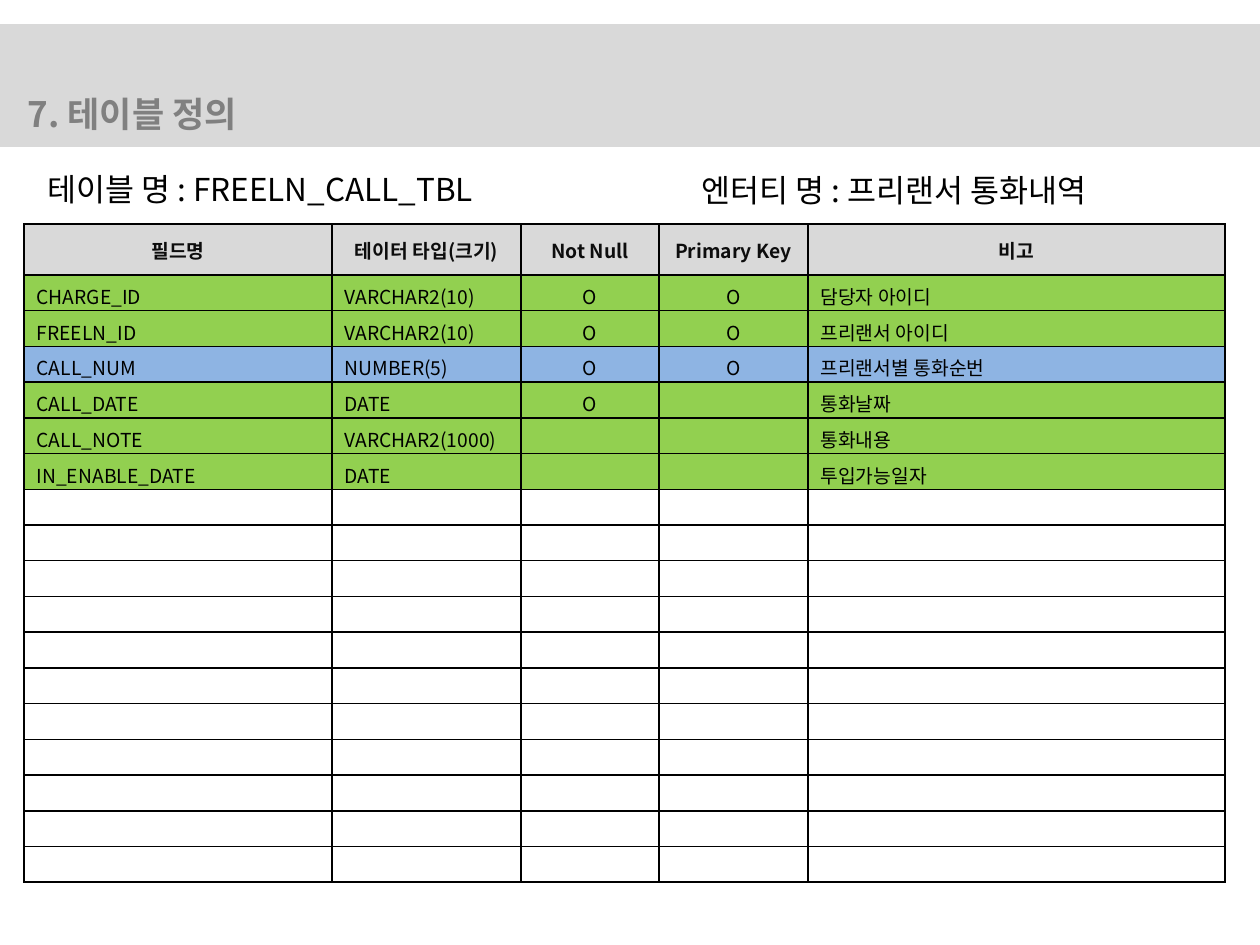
from pptx import Presentation
from pptx import util as u
from pptx.dml.color import RGBColor
from pptx.enum import shapes, text
from pptx.oxml.ns import qn
from lxml import etree

FONT = "Noto Sans CJK KR"
BLACK, GRAY, GREEN, BLUE, WHITE = "000000", "D9D9D9", "92D050", "8EB4E3", "FFFFFF"
TITLE = "7. 테이블 정의"
LABELS = [
    ("테이블 명 : FREELN_CALL_TBL ", (35, 164, 476, 50)),
    ("엔터티 명 : 프리랜서 통화내역", (689, 165, 536, 50)),
]
HEADER = ("필드명", "테이터 타입(크기)", "Not Null", "Primary Key", "비고")
FIELDS = [
    (GREEN, ("CHARGE_ID", "VARCHAR2(10)", "O", "O", "담당자 아이디")),
    (GREEN, ("FREELN_ID", "VARCHAR2(10)", "O", "O", "프리랜서 아이디")),
    (BLUE, ("CALL_NUM", "NUMBER(5)", "O", "O", "프리랜서별 통화순번")),
    (GREEN, ("CALL_DATE", "DATE", "O", "", "통화날짜")),
    (GREEN, ("CALL_NOTE", "VARCHAR2(1000)", "", "", "통화내용")),
    (GREEN, ("IN_ENABLE_DATE", "DATE", "", "", "투입가능일자")),
]
EMPTY_ROWS = 11
COLUMNS = (308, 189, 138, 149, 417)
CENTERED = (2, 3)
TABLE_LEFT, TABLE_TOP, HEADER_HEIGHT, BODY_HEIGHT = 24, 224, 51, 608
SCALE = u.Inches(1) / 126


def px(value):
    return u.Emu(round(value * SCALE))


def color(value):
    return RGBColor.from_string(value)


def add_text(para, words, size, ink, bold=False):
    span = para.add_run()
    span.text = words
    span.font.size = u.Pt(size)
    span.font.bold = bold
    span.font.color.rgb = color(ink)
    span.font.name = FONT
    etree.SubElement(span.font._element, qn("a:ea"), typeface=FONT)


def set_borders(cell):
    props = cell._tc.get_or_add_tcPr()
    for index, side in enumerate(("lnL", "lnR", "lnT", "lnB")):
        line = etree.Element(qn("a:" + side), w=str(u.Pt(1)))
        fill = etree.SubElement(line, qn("a:solidFill"))
        etree.SubElement(fill, qn("a:srgbClr"), val=BLACK)
        props.insert(index, line)


def fill_cell(cell, words, fill, centered, header):
    cell.fill.solid()
    cell.fill.fore_color.rgb = color(fill)
    cell.vertical_anchor = text.MSO_ANCHOR.MIDDLE
    if not header:
        cell.margin_bottom = 0
    set_borders(cell)
    para = cell.text_frame.paragraphs[0]
    para.alignment = text.PP_ALIGN.CENTER if centered else text.PP_ALIGN.LEFT
    if words:
        add_text(para, words, 11, "0D0D0D" if header else BLACK, header)
    else:
        etree.SubElement(para._p, qn("a:endParaRPr"), sz="1100")


deck = Presentation()
deck.slide_width, deck.slide_height = u.Inches(10), u.Inches(7.5)
page = deck.slides.add_slide(deck.slide_layouts[5])

band = page.shapes.add_shape(
    shapes.MSO_SHAPE.RECTANGLE, *map(px, (0, 26, 1260, 119)))
band.shadow.inherit = False
band.fill.solid()
band.fill.fore_color.rgb = color(GRAY)
band.line.color.rgb = color(GRAY)
band.line.width = u.Pt(2)

title = page.shapes.title
band._element.addnext(title._element)
title.left, title.top, title.width, title.height = map(px, (15, 86, 476, 55))
title.text_frame.vertical_anchor = text.MSO_ANCHOR.TOP
title.text_frame.auto_size = text.MSO_AUTO_SIZE.NONE
title_para = title.text_frame.paragraphs[0]
title_para.alignment = text.PP_ALIGN.LEFT
add_text(title_para, TITLE, 20, "808080", True)

rows = [(GRAY, HEADER)] + FIELDS + [(WHITE, ("",) * len(COLUMNS))] * EMPTY_ROWS
table = page.shapes.add_table(
    len(rows), len(COLUMNS), px(TABLE_LEFT), px(TABLE_TOP),
    px(sum(COLUMNS)), px(HEADER_HEIGHT + BODY_HEIGHT)).table
for column, width in zip(table.columns, COLUMNS):
    column.width = px(width)
for row_index, (fill, words) in enumerate(rows):
    header = row_index == 0
    table.rows[row_index].height = px(
        HEADER_HEIGHT if header else BODY_HEIGHT / (len(rows) - 1))
    for column_index, word in enumerate(words):
        fill_cell(table.cell(row_index, column_index), word, fill,
                  header or column_index in CENTERED, header)

for words, place in LABELS:
    box = page.shapes.add_textbox(*map(px, place))
    box.text_frame.word_wrap = True
    add_text(box.text_frame.paragraphs[0], words, 18, BLACK)

deck.save("out.pptx")
